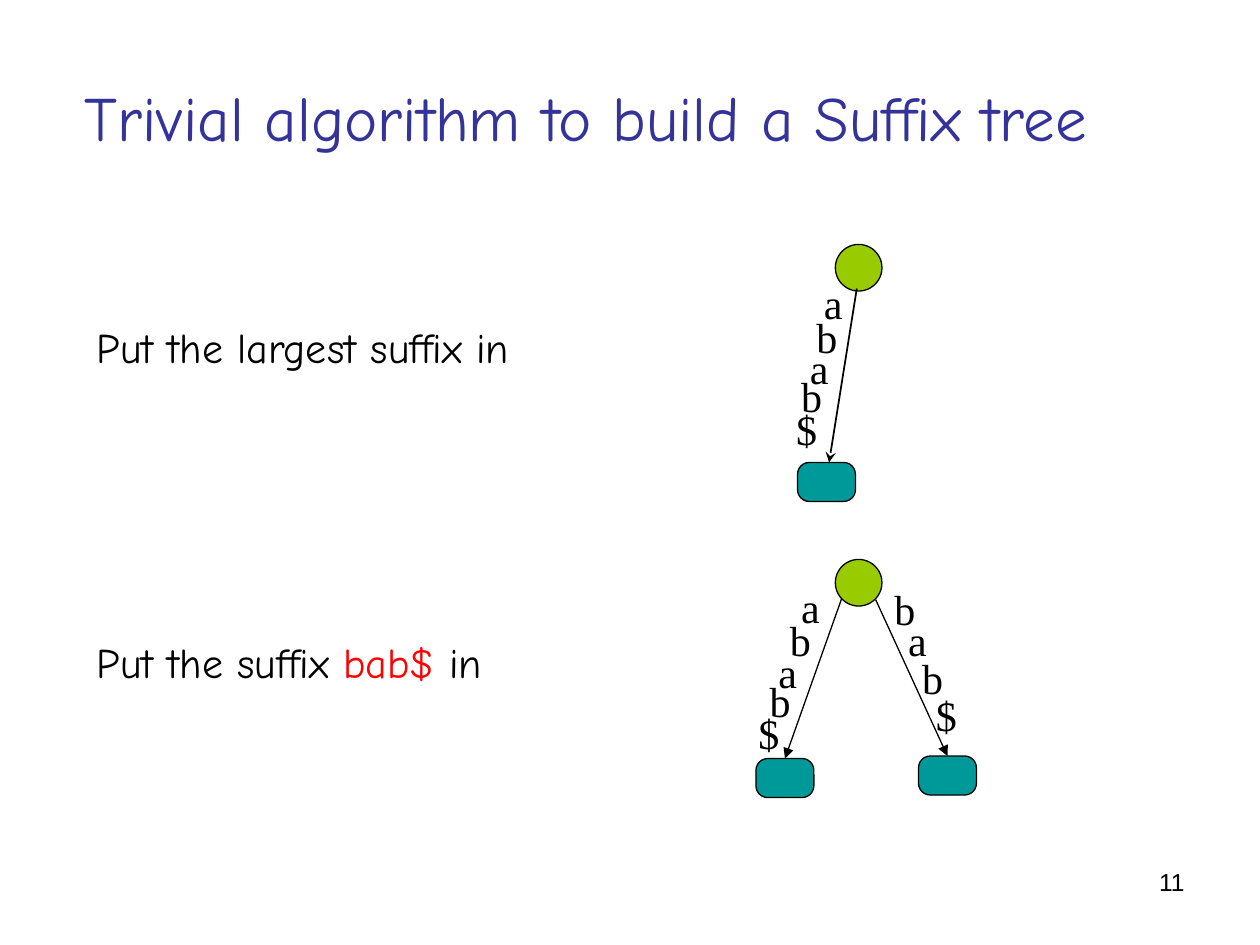
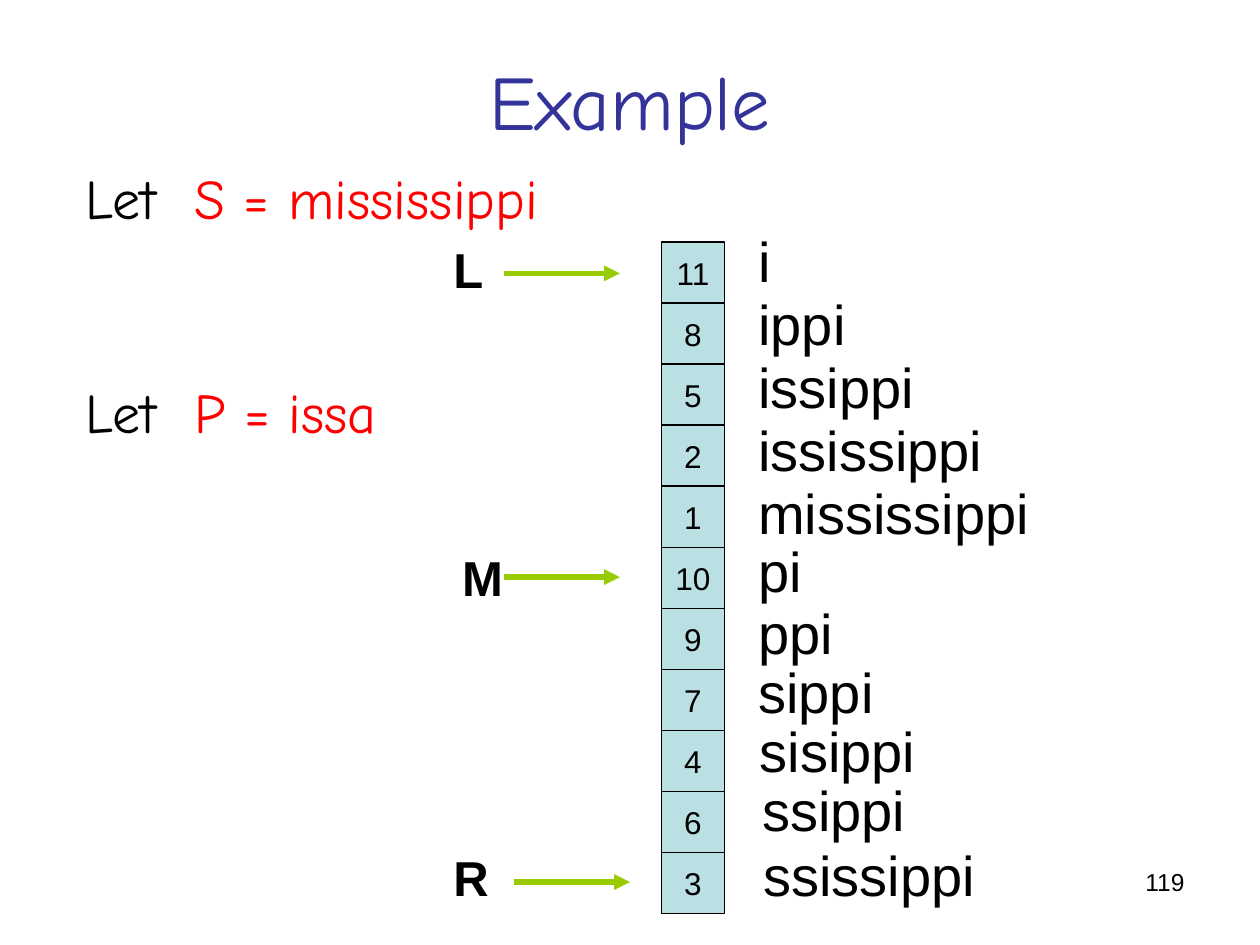
"""Build two slides on suffix trees and suffix-array search."""
from lxml.etree import SubElement
from pptx import Presentation
from pptx.dml.color import RGBColor
from pptx.enum.shapes import MSO_CONNECTOR, MSO_SHAPE
from pptx.enum.text import MSO_ANCHOR, PP_ALIGN
from pptx.oxml.ns import qn
from pptx.util import Inches, Pt

BLACK = RGBColor(0x00, 0x00, 0x00)
RED = RGBColor(0xFF, 0x00, 0x00)
TITLE_BLUE = RGBColor(0x33, 0x33, 0x99)
GREEN = RGBColor(0x99, 0xCC, 0x00)
TEAL = RGBColor(0x00, 0x99, 0x99)
PALE_BLUE = RGBColor(0xBB, 0xE0, 0xE3)
HAND, SANS, SERIF = "Comic Neue", "Arial", "Times New Roman"


def write(owner, text, box=None, font=SANS, size=18, color=BLACK, bold=False,
          align=PP_ALIGN.LEFT, anchor=MSO_ANCHOR.TOP, wrap=True):
    """Write text, or (text, color) pairs, on a slide box or into a shape."""
    if box:
        owner = owner.shapes.add_textbox(*map(Inches, box))
    frame = owner.text_frame
    frame.word_wrap = wrap
    frame.vertical_anchor = anchor
    frame.margin_left = frame.margin_right = Inches(0.1)
    frame.margin_top = frame.margin_bottom = Inches(0.05)
    paragraph = frame.paragraphs[0]
    paragraph.alignment = align
    for part, part_color in [(text, color)] if isinstance(text, str) else text:
        run = paragraph.add_run()
        run.text = part
        run.font.name = font
        run.font.size = Pt(size)
        run.font.bold = bold
        run.font.color.rgb = part_color


def add_arrow(slide, start, end, color=BLACK, width=0.75, head="triangle"):
    """Draw an arrow from start to end."""
    arrow = slide.shapes.add_connector(
        MSO_CONNECTOR.STRAIGHT, *map(Inches, start + end))
    arrow.line.color.rgb = color
    arrow.line.width = Pt(width)
    SubElement(arrow.line._get_or_add_ln(), qn("a:tailEnd"), type=head)
    SubElement(arrow._element.spPr, qn("a:effectLst"))


prs = Presentation()
prs.slide_width, prs.slide_height = Inches(10), Inches(7.5)

slides = []
for heading, top, size, number in [
        ("Trivial algorithm to build a Suffix tree", 0.3, 36, "11"),
        ("Example", 0.17, 44, "119")]:
    slide = prs.slides.add_slide(prs.slide_layouts[5])
    title = slide.shapes.title
    title.left, title.top, title.width, title.height = map(
        Inches, (0.5, top, 9, 1.25))
    write(title, heading, font=HAND, size=size, color=TITLE_BLUE,
          align=PP_ALIGN.CENTER, anchor=MSO_ANCHOR.MIDDLE)
    write(slide, number, (7.17, 6.83, 2.33, 0.52), size=14,
          align=PP_ALIGN.RIGHT)
    slides.append(slide)
tree_slide, search_slide = slides
tree_slide.shapes.title.text_frame.margin_right = Inches(0.8)

write(tree_slide, "Put the largest suffix in", (0.67, 2.5, 4.25, 0.5),
      font=HAND, size=24)
write(tree_slide, [("Put the suffix ", BLACK), ("bab$", RED), (" in", BLACK)],
      (0.67, 5, 3.83, 0.5), font=HAND, size=24)

roots = [(6.63, 1.94), (6.63, 4.44)]
leaves = [(6.33, 3.67), (6, 6.02), (7.29, 6)]
for kind, fill, width, height, corners in [
        (MSO_SHAPE.OVAL, GREEN, 0.37, 0.37, roots),
        (MSO_SHAPE.ROUNDED_RECTANGLE, TEAL, 0.46, 0.31, leaves)]:
    for left, top in corners:
        node = tree_slide.shapes.add_shape(
            kind, *map(Inches, (left, top, width, height)))
        node.shadow.inherit = False
        node.fill.solid()
        node.fill.fore_color.rgb = fill
        node.line.color.rgb = BLACK
        node.line.width = Pt(0.75)
        if kind == MSO_SHAPE.ROUNDED_RECTANGLE:
            node.adjustments[0] = 0.3

add_arrow(tree_slide, (6.8, 2.29), (6.58, 3.67), width=1, head="stealth")
add_arrow(tree_slide, (6.68, 4.75), (6.23, 6.02))
add_arrow(tree_slide, (6.95, 4.76), (7.52, 6))

edge_labels = [
    ("abab$", [(6.44, 2.15), (6.38, 2.42), (6.33, 2.67), (6.26, 2.89),
               (6.22, 3.15)]),
    ("abab$", [(6.26, 4.57), (6.17, 4.83), (6.08, 5.08), (6.01, 5.31),
               (5.92, 5.57)]),
    ("bab$", [(7, 4.58), (7.11, 4.83), (7.22, 5.13), (7.33, 5.42)]),
]
for suffix, corners in edge_labels:
    for letter, corner in zip(suffix, corners):
        write(tree_slide, letter, (*corner, 0.42, 0.5), font=SERIF, size=24)

for definition, top in [("S = mississippi", 1.25), ("P = issa", 2.95)]:
    write(search_slide, [("Let  ", BLACK), (definition, RED)],
          (0.58, top, 4.67, 0.64), font=HAND, size=32)

suffix_array = [
    (11, "i", 5.92, 1.75), (8, "ippi", 5.92, 2.25),
    (5, "issippi", 5.92, 2.75), (2, "ississippi", 5.92, 3.25),
    (1, "mississippi", 5.92, 3.75), (10, "pi", 5.92, 4.21),
    (9, "ppi", 5.92, 4.7), (7, "sippi", 5.92, 5.17),
    (4, "sisippi", 5.93, 5.64), (6, "ssippi", 5.95, 6.11),
    (3, "ssissippi", 5.96, 6.62),
]
cell_height = (7.25 - 1.92) / len(suffix_array)
for row, (position, suffix, left, top) in enumerate(suffix_array):
    cell = search_slide.shapes.add_shape(
        MSO_SHAPE.RECTANGLE, Inches(5.25), Inches(1.92 + row * cell_height),
        Inches(0.5), Inches(cell_height))
    cell.shadow.inherit = False
    cell.fill.solid()
    cell.fill.fore_color.rgb = PALE_BLUE
    cell.line.color.rgb = BLACK
    cell.line.width = Pt(0.75)
    write(cell, str(position), align=PP_ALIGN.CENTER,
          anchor=MSO_ANCHOR.MIDDLE, wrap=False)
    write(search_slide, suffix, (left, top, 3.75, 0.64), size=32)

for pointer, left, top, arrow_left, arrow_y in [
        ("L", 3.5, 1.85, 4, 2.17), ("M", 3.57, 4.3, 4, 4.58),
        ("R", 3.5, 6.68, 4.08, 7)]:
    write(search_slide, pointer, (left, top, 0.58, 0.57), size=28, bold=True)
    add_arrow(search_slide, (arrow_left, arrow_y), (arrow_left + 0.92, arrow_y),
              color=GREEN, width=3)

prs.save("out.pptx")
